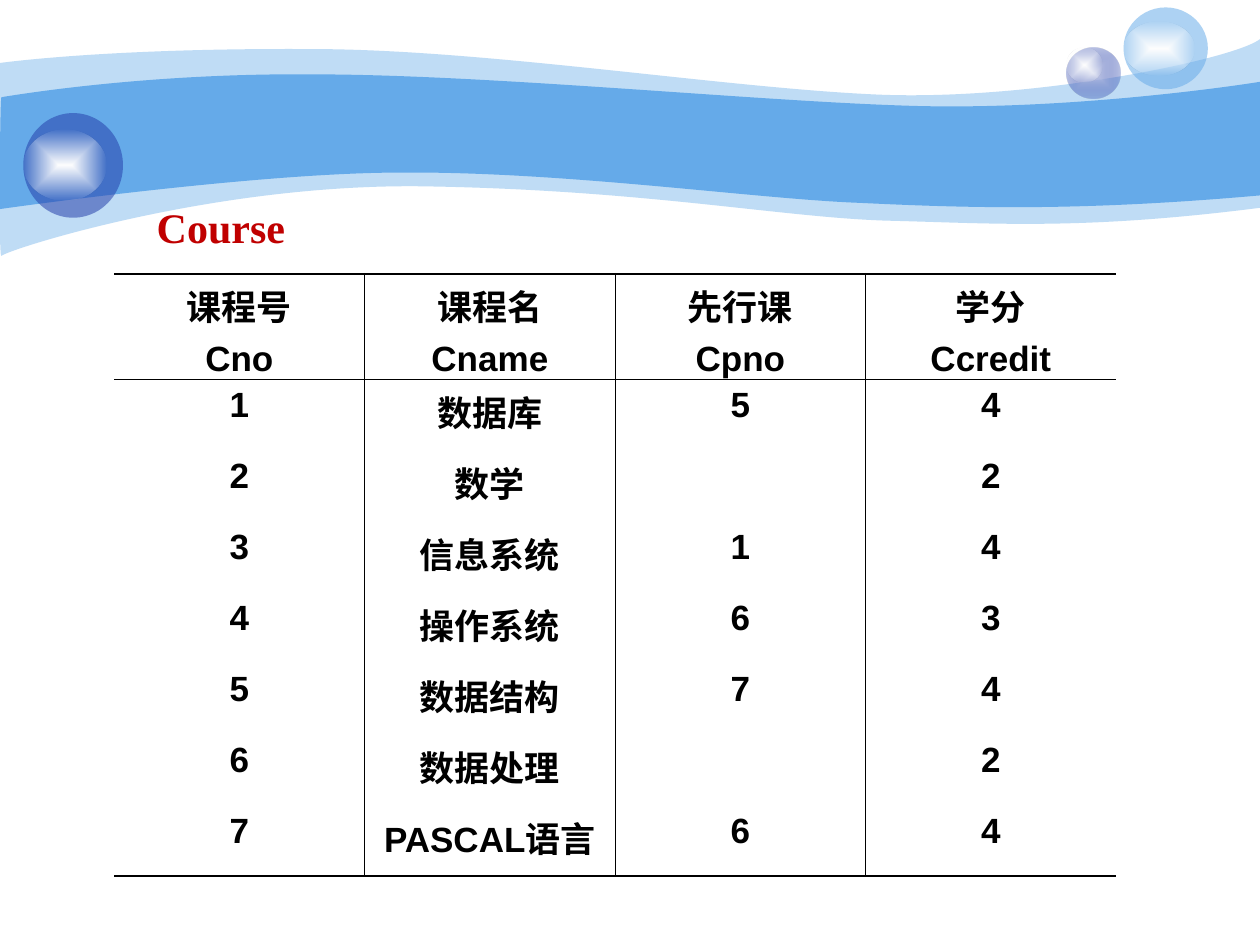
from lxml import etree
from pptx import Presentation
from pptx.dml.color import RGBColor
from pptx.enum.shapes import MSO_SHAPE
from pptx.enum.text import MSO_AUTO_SIZE, PP_ALIGN
from pptx.oxml.ns import qn
from pptx.util import Cm, Pt

ELLIPSE = MSO_SHAPE.OVAL
CENTER = PP_ALIGN.CENTER
GROW = MSO_AUTO_SIZE.SHAPE_TO_FIT_TEXT
COLORS = {"sky": "65AAE9", "navy": "233DA9", "mist": "C7CEE9",
          "white": "FFFFFF", "black": "000000", "title": "C00000"}
NO_STYLE = "{2D5ABB26-0587-4C30-8999-92F81FD0307C}"
THIN, THICK = Pt(0.45), Pt(1.08)

OUTER_WAVE = [
    (0, 1.27), (0.61, 1.19, 2.72, 0.97, 6.27, 0.99),
    (9.8, 0.99, 14.61, 1.78, 17.75, 1.91), (20.88, 2.03, 24.89, 1.19, 25.4, 0.79),
    (25.4, 4.19), (21.79, 4.65, 19.99, 4.5, 17.91, 4.45),
    (15.8, 4.39, 13.08, 3.84, 8.71, 3.76), (4.37, 3.66, 0.1, 5.05, 0.03, 5.16),
    (-0.03, 5.28, 0, 1.91, 0, 1.27)]
INNER_WAVE = [
    (0.03, 1.96), (0.05, 1.96, 2.79, 1.47, 6.3, 1.5),
    (9.8, 1.5, 15.11, 2.03, 18.24, 2.13), (21.36, 2.24, 24.79, 1.75, 25.4, 1.65),
    (25.4, 3.94), (21.67, 4.27, 19.43, 4.19, 17.32, 4.09),
    (15.21, 4.01, 11.35, 3.45, 8.05, 3.48), (5.16, 3.48, -0.05, 4.22, -0.03, 4.22),
    (0, 4.22, 0, 1.96, 0.03, 1.96)]
ORBS = [
    ((21.51, 0.97, 1.07, 1.02), (0, 0.71, 0.69), [("mist", 100), ("navy", 31)]),
    ((22.65, 0.15, 1.7, 1.65), (0.28, 1.42, 1.09), [("sky", 53)]),
    ((0.47, 2.28, 2.01, 2.11), (0.34, 1.68, 1.42), [("navy", 53)])]
GLOW = [("white", 100), ("white", 0)]

COURSES = [
    ("课程号\nCno", "课程名\nCname", "先行课\nCpno", "学分\nCcredit"),
    ("1", "数据库", "5", "4"),
    ("2", "数学", "", "2"),
    ("3", "信息系统", "1", "4"),
    ("4", "操作系统", "6", "3"),
    ("5", "数据结构", "7", "4"),
    ("6", "数据处理", "", "2"),
    ("7", "PASCAL语言", "6", "4")]


def add_color(parent, name, opacity=100):
    """Append a colour with its opacity in percent."""
    clr = etree.SubElement(parent, qn("a:srgbClr"), val=COLORS[name])
    if opacity < 100:
        etree.SubElement(clr, qn("a:alpha"), val=str(opacity * 1000))


def paint(sp, stops):
    """Fill a shape with one colour, or with a gradient from its centre."""
    sp.shadow.inherit = False
    sp.line.fill.background()
    sp.fill.background()
    old = sp._element.spPr.find(qn("a:noFill"))
    if len(stops) == 1:
        fill = etree.Element(qn("a:solidFill"))
        add_color(fill, *stops[0])
    else:
        fill = etree.Element(qn("a:gradFill"), rotWithShape="1")
        gs_list = etree.SubElement(fill, qn("a:gsLst"))
        for pos, stop in zip((0, 100000), stops):
            add_color(etree.SubElement(gs_list, qn("a:gs"), pos=str(pos)), *stop)
        focus = etree.SubElement(fill, qn("a:path"), path="rect")
        etree.SubElement(focus, qn("a:fillToRect"), dict.fromkeys("ltrb", "50000"))
    old.getparent().replace(old, fill)


def add_wave(slide, left, top, segments, opacity):
    """Draw one wavy band from line and Bézier segments."""
    points = [(Cm(left + x), Cm(top + y))
              for seg in segments for x, y in zip(seg[::2], seg[1::2])]
    builder = slide.shapes.build_freeform(*points[0])
    builder.add_line_segments(points[1:], close=True)
    sp = builder.convert_to_shape()
    lines = iter(list(sp._element.iter(qn("a:lnTo"))))
    for seg in segments[1:]:
        first = next(lines)
        if len(seg) == 6:
            curve = etree.Element(qn("a:cubicBezTo"))
            first.addprevious(curve)
            for line in (first, next(lines), next(lines)):
                curve.append(line[0])
                line.getparent().remove(line)
    paint(sp, [("sky", opacity)])


def add_orb(slide, left, top, box, glow, stops):
    """Draw a glassy ball with its highlight as a group."""
    x, y, w, h = box
    dy, glow_w, glow_h = glow
    group = slide.shapes.add_group_shape()
    for offset, width, height, fill in ((0, w, h, stops), (dy, glow_w, glow_h, GLOW)):
        sp = group.shapes.add_shape(ELLIPSE, Cm(left + x), Cm(top + y + offset),
                                    Cm(width), Cm(height))
        paint(sp, fill)


def add_header(slide, left, top):
    """Draw the waves and balls of the header."""
    add_wave(slide, left, top, OUTER_WAVE, 41)
    add_wave(slide, left, top, INNER_WAVE, 100)
    for orb in ORBS:
        add_orb(slide, left, top, *orb)


def style_run(r, font, size, color):
    """Set a run in bold with the given font, size and colour."""
    r.font.name, r.font.size, r.font.bold = font, Pt(size), True
    r.font.color.rgb = RGBColor.from_string(COLORS[color])


def add_title(slide, left, top, width, height):
    """Write the name of the table."""
    tf = slide.shapes.add_textbox(Cm(left), Cm(top), Cm(width), Cm(height)).text_frame
    tf.word_wrap = False
    tf.auto_size = GROW
    tf.text = "Course"
    style_run(tf.paragraphs[0].runs[0], "Times New Roman", 24, "title")


def set_borders(cell, widths):
    """Draw the cell borders that have a width and clear the others."""
    tc_pr = cell._tc.get_or_add_tcPr()
    for side in "LRTB":
        width = widths.get(side, 0)
        ln = etree.SubElement(tc_pr, qn(f"a:ln{side}"), w=str(width))
        if width:
            add_color(etree.SubElement(ln, qn("a:solidFill")), "black")
        else:
            etree.SubElement(ln, qn("a:noFill"))


def fill_cell(cell, text):
    """Write centred text in a cell."""
    cell.fill.background()
    cell.text_frame.text = text
    for i, p in enumerate(cell.text_frame.paragraphs):
        p.alignment = CENTER
        if i:
            p.space_before = Pt(5)
        for r in p.runs:
            style_run(r, "Arial", 20, "black")


def add_course_table(slide, left, top, col_width, head_height, row_height):
    """Build the course table with its ruled lines."""
    n_rows, n_cols = len(COURSES), len(COURSES[0])
    frame = slide.shapes.add_table(n_rows, n_cols, Cm(left), Cm(top), Cm(col_width * n_cols),
                                   Cm(head_height + row_height * (n_rows - 1)))
    table = frame.table
    table.first_row = table.horz_banding = False
    table._tbl.tblPr.find(qn("a:tableStyleId")).text = NO_STYLE
    for col in table.columns:
        col.width = Cm(col_width)
    rules = [THICK, THIN] + [0] * (n_rows - 2) + [THICK]
    for i, values in enumerate(COURSES):
        table.rows[i].height = Cm(row_height if i else head_height)
        for j, text in enumerate(values):
            cell = table.cell(i, j)
            set_borders(cell, {"L": THIN if j else 0,
                               "R": THIN if j < n_cols - 1 else 0,
                               "T": rules[i], "B": rules[i + 1]})
            fill_cell(cell, text)
            if i == 0:
                cell.margin_bottom = 0


def main():
    """Build the slide and save it."""
    prs = Presentation()
    prs.slide_width, prs.slide_height = Cm(25.4), Cm(19.05)
    slide = prs.slides.add_slide(prs.slide_layouts[6])
    add_header(slide, 0, 0)
    add_course_table(slide, 2.3, 5.52, 5.05, 2.13, 1.43)
    add_title(slide, 2.91, 3.94, 3.1, 1.27)
    prs.save("out.pptx")


if __name__ == "__main__":
    main()
